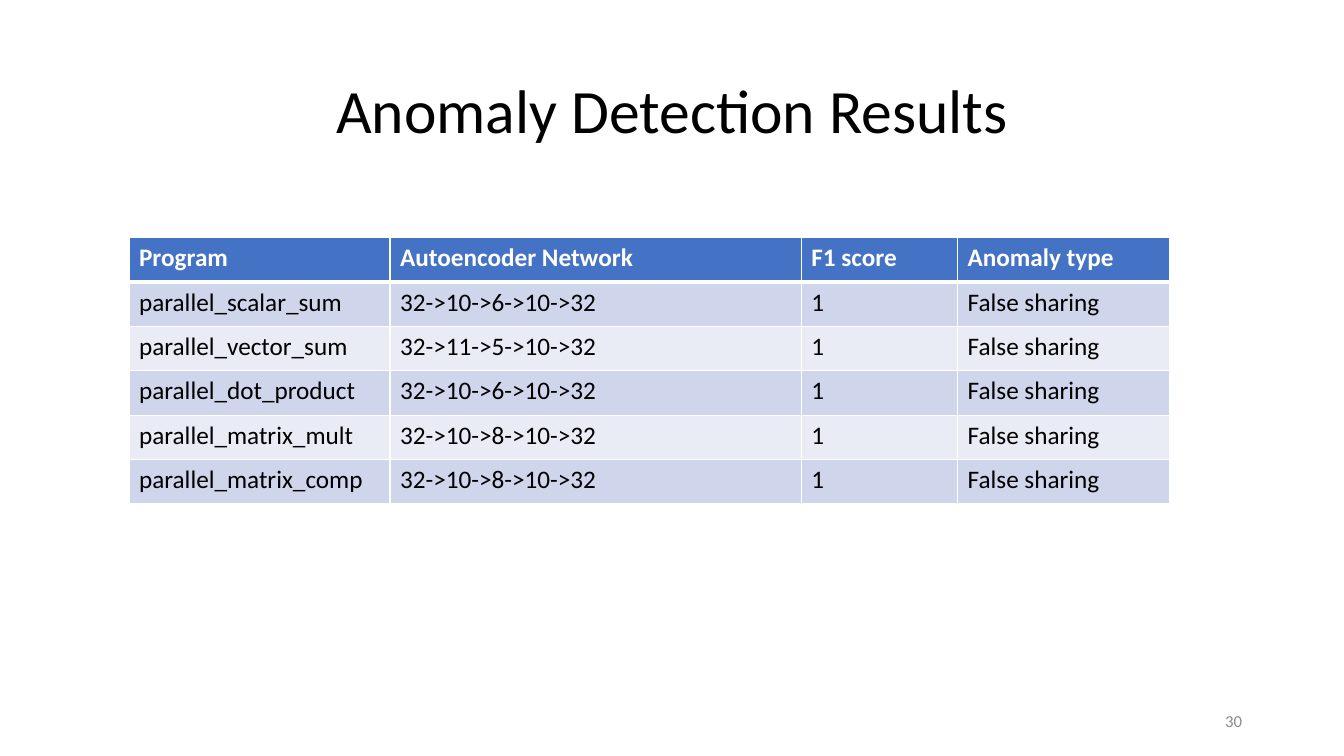
"""Builds the slide of anomaly detection results."""
from lxml import etree
from pptx import Presentation
from pptx import util as u
from pptx.dml import color
from pptx.enum import text
from pptx.oxml import ns

PX = 9144
ROW = 44
TOP = 236


def write(frame, words, size, ink, align, bold=False):
    para = frame.paragraphs[0]
    para.alignment = align
    run = para.add_run()
    run.text = words
    run.font.name = "Calibri"
    run.font.size = u.Pt(size)
    run.font.bold = bold
    run.font.color.rgb = rgb(ink)
    return para


def rgb(ink):
    return color.RGBColor.from_string(ink)


deck = Presentation()
deck.slide_width, deck.slide_height = u.Inches(13.333), u.Inches(7.5)
slide = deck.slides.add_slide(deck.slide_layouts[6])

labels = [
    (92, 40, 1150, 145, "Anomaly Detection Results", 44, "000000", text.PP_ALIGN.CENTER, 0.9),
    (942, 695, 300, 40, "30", 12, "8C8C8C", text.PP_ALIGN.RIGHT, 1.0),
]
for left, top, width, height, words, size, ink, align, space in labels:
    box = slide.shapes.add_textbox(left * PX, top * PX, width * PX, height * PX)
    frame = box.text_frame
    frame.word_wrap = True
    frame.vertical_anchor = text.MSO_ANCHOR.MIDDLE
    write(frame, words, size, ink, align).line_spacing = space

columns = [
    (259, ["Program", "parallel_scalar_sum", "parallel_vector_sum",
           "parallel_dot_product", "parallel_matrix_mult", "parallel_matrix_comp"]),
    (408, ["Autoencoder Network", "32->10->6->10->32", "32->11->5->10->32",
           "32->10->6->10->32", "32->10->8->10->32", "32->10->8->10->32"]),
    (155, ["F1 score"] + ["1"] * 5),
    (210, ["Anomaly type"] + ["False sharing"] * 5),
]
left = 128
for width, words in columns:
    count = len(words)
    grid = slide.shapes.add_table(
        count, 1, left * PX, TOP * PX, width * PX, count * ROW * PX).table
    for row, word in enumerate(words):
        head = row == 0
        grid.rows[row].height = ROW * PX
        cell = grid.cell(row, 0)
        props = cell._tc.get_or_add_tcPr()
        for side in "LRTB":
            if side == "T" and row == 1:
                continue
            points = 3 if head and side == "B" else 1
            line = etree.SubElement(props, ns.qn("a:ln" + side), w=str(u.Pt(points)))
            fill = etree.SubElement(line, ns.qn("a:solidFill"))
            etree.SubElement(fill, ns.qn("a:srgbClr"), val="FFFFFF")
        cell.fill.solid()
        cell.fill.fore_color.rgb = rgb("4472C4" if head else ("E9EBF5", "CFD5EA")[row % 2])
        write(cell.text_frame, word, 18, "FFFFFF" if head else "000000",
              text.PP_ALIGN.LEFT, head)
    left += width

deck.save("out.pptx")
